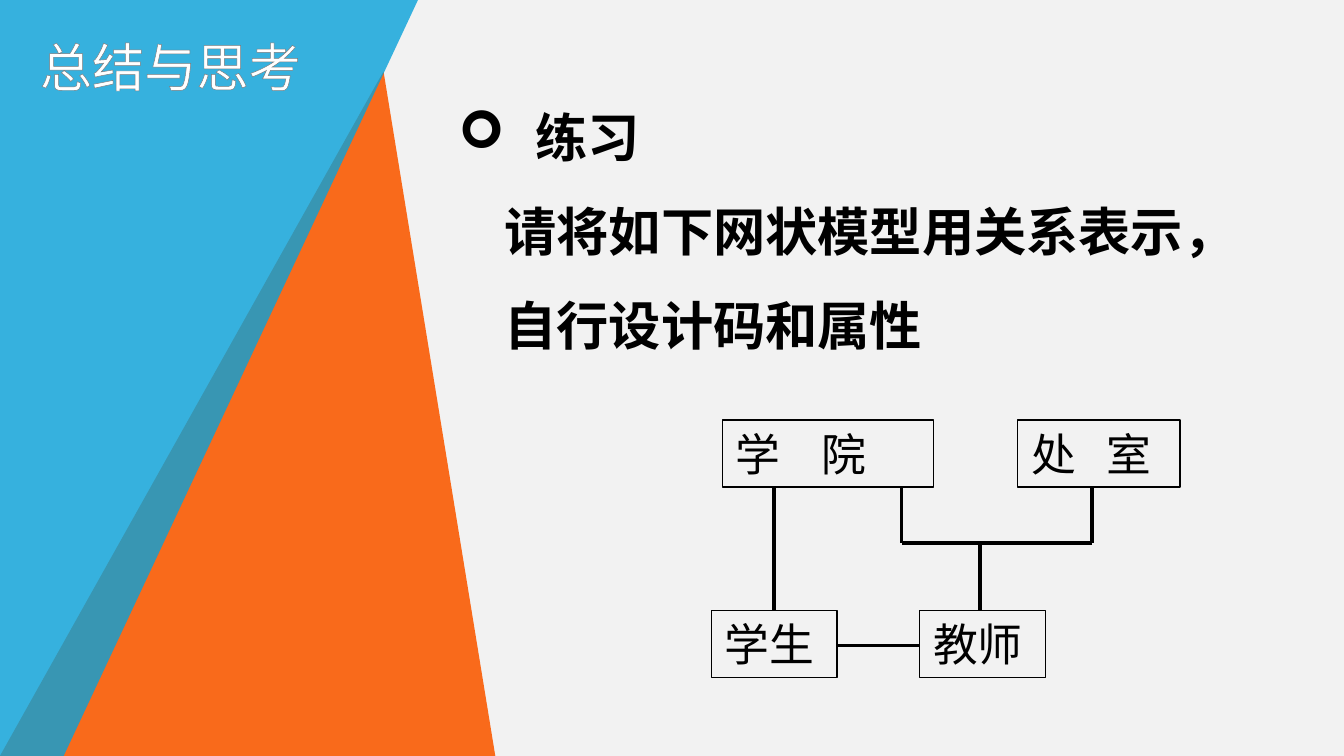
from lxml import etree
from pptx import Presentation
from pptx import util as u
from pptx.dml.color import RGBColor
from pptx.enum import shapes, text
from pptx.oxml import ns

PX = 9525
ORANGE = RGBColor(0xF9, 0x6A, 0x1B)
BLUE = RGBColor(0x08, 0xA1, 0xD9)
GREY = RGBColor(0x79, 0x7B, 0x7E)
PAPER = RGBColor(0xF2, 0xF2, 0xF2)
WHITE = RGBColor(0xFF, 0xFF, 0xFF)
BLACK = RGBColor(0, 0, 0)


def add_xml(parent, tag, **attributes):
    """Append a DrawingML element to the parent and return it."""
    return etree.SubElement(parent, ns.qn(tag), attributes)


def style(paragraph, size, face, color, bold=False):
    """Format every run of a paragraph."""
    for run in paragraph.runs:
        run.font.size = u.Pt(size)
        run.font.name = face
        run.font.bold = bold
        run.font.color.rgb = color
        add_xml(run.font._element, "a:ea", typeface=face)


def add_panel(slide, corners, color, opacity=100):
    """Draw one flat polygon of the side decoration."""
    outline = slide.shapes.build_freeform(*corners[0], scale=PX)
    outline.add_line_segments(corners[1:], close=True)
    panel = outline.convert_to_shape()
    panel.shadow.inherit = False
    panel.fill.solid()
    panel.fill.fore_color.rgb = color
    panel.line.fill.background()
    if opacity < 100:
        tint = panel._element.spPr.find(".//" + ns.qn("a:srgbClr"))
        add_xml(tint, "a:alpha", val=str(opacity * 1000))


def add_decoration(slide, left, top, width, height):
    """Draw the orange and blue triangles inside the given box."""
    right, bottom = left + width, top + height
    add_panel(slide, [(left, bottom), (left + 274, top + 51), (right, bottom + 1)], ORANGE)
    add_panel(slide, [(left - 1, bottom + 3), (left, top - 1),
                      (left + 299, top - 1), (left + 45, bottom + 1)], BLUE, 80)


def add_title(slide, left, top, width, height):
    """Place the outlined heading in the given box."""
    title = slide.shapes.add_textbox(*(PX * n for n in (left, top, width, height)))
    title.text_frame.text = "总结与思考"
    heading = title.text_frame.paragraphs[0]
    style(heading, 28, "Noto Sans CJK JP", WHITE)
    edge = etree.Element(ns.qn("a:ln"), w=str(u.Pt(0.8)))
    add_xml(add_xml(edge, "a:solidFill"), "a:srgbClr", val=str(GREY))
    heading.runs[0].font._element.insert(0, edge)


def add_exercise(slide, left, top, width, height):
    """Place the bulleted exercise and its two lines of instructions."""
    exercise = slide.shapes.add_textbox(*(PX * n for n in (left, top, width, height)))
    frame = exercise.text_frame
    frame.word_wrap = True
    frame.text = "练习\n请将如下网状模型用关系表示，\n自行设计码和属性"
    for paragraph, (margin, indent) in zip(frame.paragraphs, [(55, -55), (33, 0), (33, 0)]):
        paragraph.line_spacing = 1.5
        properties = paragraph._p.get_or_add_pPr()
        properties.set("marL", str(margin * PX))
        properties.set("indent", str(indent * PX))
        if indent:
            add_xml(properties, "a:buFont", typeface="Wingdings")
            add_xml(properties, "a:buChar", char="➢")
        style(paragraph, 28, "Noto Sans CJK SC", BLACK, bold=True)


def add_entity(slide, label, left, top, width, tab=0):
    """Draw one entity box, with an optional tab stop between its characters."""
    entity = slide.shapes.add_shape(shapes.MSO_SHAPE.RECTANGLE,
                                    *(PX * n for n in (left, top, width, 48)))
    entity.shadow.inherit = False
    entity.fill.background()
    entity.line.color.rgb = BLACK
    entity.line.width = u.Pt(0.75)
    frame = entity.text_frame
    frame.word_wrap = True
    frame.vertical_anchor = text.MSO_ANCHOR.TOP
    frame.text = label
    name = frame.paragraphs[0]
    name.alignment = text.PP_ALIGN.LEFT
    if tab:
        stops = add_xml(name._p.get_or_add_pPr(), "a:tabLst")
        add_xml(stops, "a:tab", pos=str(tab * PX), algn="l")
    style(name, 24, "Arial", BLACK)


def add_link(slide, x1, y1, x2, y2, weight=2):
    """Draw one straight line between two points."""
    link = slide.shapes.add_connector(shapes.MSO_CONNECTOR.STRAIGHT,
                                      *(PX * n for n in (x1, y1, x2, y2)))
    link.line.color.rgb = BLACK
    link.line.width = u.Pt(weight)
    add_xml(link._element.spPr, "a:effectLst")


def add_network(slide, left, top, width, height):
    """Draw the network model inside the given box."""
    upper, bus, lower = top + 48, top + 88, top + height - 48
    add_entity(slide, "学\t院", left + 8, top, 151, tab=61)
    add_entity(slide, "处\t室", left + width - 116, top, 116, tab=54)
    add_entity(slide, "学生", left, lower, 90)
    add_entity(slide, "教师", left + 149, lower, 90)
    college, office = left + 136, left + 272
    for x in (college, office):
        add_link(slide, x, upper, x, bus)
    add_link(slide, college, bus, office, bus)
    add_link(slide, left + 192, bus, left + 192, lower)
    add_link(slide, left + 45, upper, left + 45, lower)
    add_link(slide, left + 90, lower + 25, left + 149, lower + 25, 1.75)


def main():
    """Build the slide and save it."""
    deck = Presentation()
    deck.slide_width, deck.slide_height = 960 * PX, 540 * PX
    slide = deck.slides.add_slide(deck.slide_layouts[6])
    slide.background.fill.solid()
    slide.background.fill.fore_color.rgb = PAPER
    add_decoration(slide, 0, 0, 354, 540)
    add_title(slide, 19, 20, 211, 55)
    add_exercise(slide, 318, 48, 620, 203)
    add_network(slide, 508, 300, 335, 184)
    deck.save("out.pptx")


if __name__ == "__main__":
    main()
